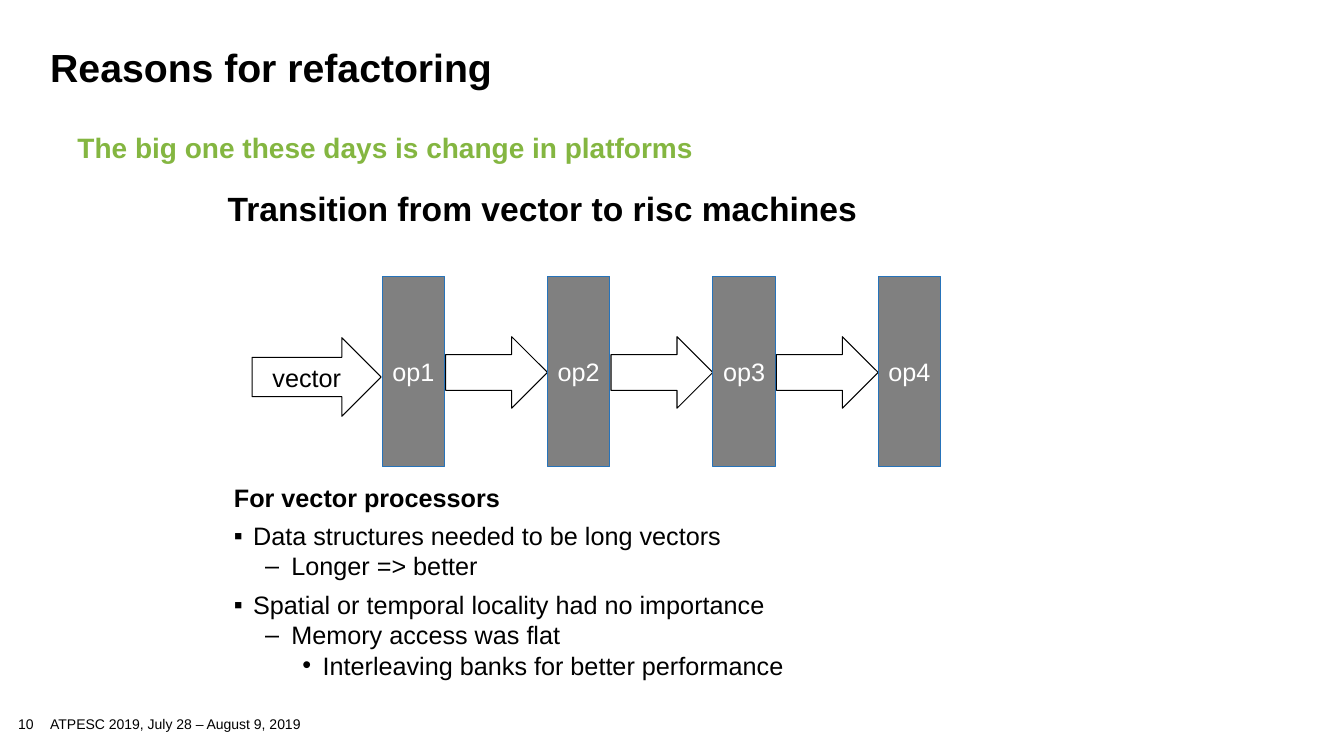
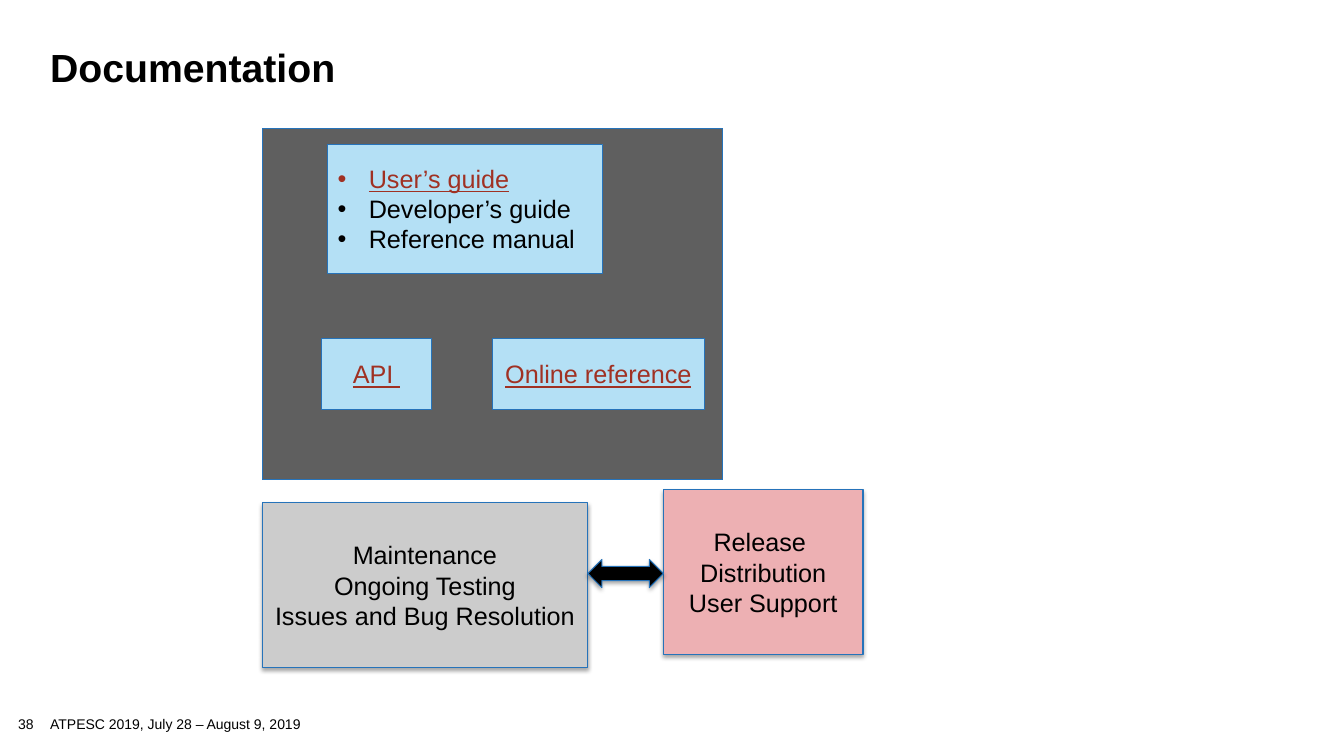
from dataclasses import dataclass

from lxml.etree import SubElement
from pptx import Presentation
from pptx.dml.color import RGBColor
from pptx.enum.shapes import MSO_SHAPE as Shape
from pptx.enum.text import MSO_ANCHOR as Anchor, PP_ALIGN as Align
from pptx.oxml.ns import qn
from pptx.util import Inches, Pt


@dataclass(frozen=True)
class Theme:
    font: str = "Arial"
    black: str = "000000"
    white: str = "FFFFFF"
    green: str = "84B641"
    blue: str = "2673BA"
    sky: str = "B4E0F5"
    rust: str = "A03123"
    pink: str = "EDB0B3"
    light_gray: str = "CCCCCC"
    mid_gray: str = "808080"
    dark_gray: str = "5F5F5F"
    title_size: int = 28
    heading_size: int = 24
    subtitle_size: int = 20
    body_size: int = 18
    footer_size: int = 10


@dataclass(frozen=True)
class Line:
    """One paragraph; an unset color falls back to that of its box."""
    text: str
    bullet: str = ""
    indent: float = 0
    hanging: float = 0
    level: int = 0
    before: float = 0
    color: str = ""
    bold: bool = False
    underline: bool = False


THEME = Theme()
FOOTER = "ATPESC 2019, July 28 – August 9, 2019"
INSETS = (0.1, 0.05, 0.1, 0.05)


class Deck:
    def __init__(self, theme):
        self.theme = theme
        self.deck = Presentation()
        self.deck.slide_width = Inches(13.33)
        self.deck.slide_height = Inches(7.5)
        self.page = None

    def add_page(self, title, number):
        theme = self.theme
        self.page = self.deck.slides.add_slide(self.deck.slide_layouts[6])
        self.text(0.18, 7.12, 0.56, 0.16, [Line(number)], theme.footer_size,
                  insets=(0, 0, 0, 0), spacing=0.9)
        self.text(0.4, 7.08, 3.63, 0.2, [Line(FOOTER)], theme.footer_size,
                  anchor=Anchor.MIDDLE)
        self.text(0.4, 0.45, 12.44, 0.56, [Line(title, bold=True)],
                  theme.title_size, spacing=0.85)

    def text(self, left, top, width, height, lines, size, insets=INSETS,
             anchor=Anchor.TOP, spacing=None):
        box = self.page.shapes.add_textbox(
            Inches(left), Inches(top), Inches(width), Inches(height))
        self.fill_frame(box.text_frame, lines, size, self.theme.black, insets,
                        anchor, Align.LEFT, spacing)

    def shape(self, kind, left, top, width, height, fill, line="", lines=(),
              color="", align=Align.CENTER, shadow=False):
        shape = self.page.shapes.add_shape(
            kind, Inches(left), Inches(top), Inches(width), Inches(height))
        shape.fill.solid()
        shape.fill.fore_color.rgb = RGBColor.from_string(fill)
        shape.line.color.rgb = RGBColor.from_string(line or self.theme.blue)
        shape.line.width = Pt(0.75)
        shape.shadow.inherit = False
        if shadow:
            self.cast_shadow(shape)
        if lines:
            self.fill_frame(shape.text_frame, lines, self.theme.body_size,
                            color or self.theme.black, INSETS, Anchor.MIDDLE,
                            align)

    def cast_shadow(self, shape):
        effects = shape.element.spPr.find(qn("a:effectLst"))
        outer = SubElement(effects, qn("a:outerShdw"), blurRad=str(Pt(3.1)),
                           dist=str(Pt(1.8)), dir="5400000", rotWithShape="0")
        tint = SubElement(outer, qn("a:srgbClr"), val=self.theme.black)
        SubElement(tint, qn("a:alpha"), val="35000")

    def fill_frame(self, frame, lines, size, color, insets, anchor, align,
                   spacing=None):
        frame.word_wrap = True
        frame.vertical_anchor = anchor
        (frame.margin_left, frame.margin_top,
         frame.margin_right, frame.margin_bottom) = map(Inches, insets)
        for index, line in enumerate(lines):
            para = frame.add_paragraph() if index else frame.paragraphs[0]
            para.text = line.text
            para.alignment = align
            para.level = line.level
            para.space_before = Pt(line.before)
            if spacing:
                para.line_spacing = spacing
            if line.bullet:
                self.add_bullet(para, line)
            font = para.font
            font.name = self.theme.font
            font.size = Pt(size)
            font.bold = line.bold
            font.underline = line.underline
            font.color.rgb = RGBColor.from_string(line.color or color)

    def add_bullet(self, para, line):
        properties = para._p.get_or_add_pPr()
        properties.set("marL", str(Inches(line.indent)))
        properties.set("indent", str(-Inches(line.hanging)))
        SubElement(properties, qn("a:buFont"), typeface=self.theme.font)
        SubElement(properties, qn("a:buChar"), char=line.bullet)


def point(text):
    return Line(text, "▪", 0.19, 0.19, before=6)


def subpoint(text):
    return Line(text, "–", 0.57, 0.26, level=1)


def add_refactoring(deck):
    theme = deck.theme
    deck.add_page("Reasons for refactoring", "10")
    deck.text(2.16, 1.86, 8.77, 0.73,
              [Line("Transition from vector to risc machines", bold=True)],
              theme.heading_size, spacing=0.9)
    deck.text(0.67, 1.28, 12.21, 0.55,
              [Line("The big one these days is change in platforms",
                    color=theme.green, bold=True)],
              theme.subtitle_size, insets=(0.1, 0.05, 0.1, 0), spacing=0.9)

    deck.shape(Shape.RIGHT_ARROW, 2.5, 3.35, 1.28, 0.78, theme.white,
               theme.black, [Line("vector")])
    first, pitch, count = 3.79, 1.64, 4
    for index in range(count):
        left = first + index * pitch
        deck.shape(Shape.RECTANGLE, left, 2.74, 0.62, 1.89, theme.mid_gray,
                   lines=[Line(f"op{index + 1}")], color=theme.white)
        if index < count - 1:
            deck.shape(Shape.RIGHT_ARROW, left + 0.63, 3.34, 1.01, 0.71,
                       theme.white, theme.black)

    deck.text(2.32, 4.78, 6.62, 2.55, [
        Line("For vector processors", before=6, bold=True),
        point("Data structures needed to be long vectors"),
        subpoint("Longer => better"),
        point("Spatial or temporal locality had no importance"),
        subpoint("Memory access was flat"),
        Line("Interleaving banks for better performance", "•", 0.88, 0.2,
             level=2),
    ], theme.body_size, insets=(0, 0, 0, 0.05))


def add_documentation(deck):
    theme = deck.theme
    deck.add_page("Documentation", "38")
    deck.shape(Shape.RECTANGLE, 2.6, 4.99, 3.23, 1.63, theme.light_gray,
               lines=[Line("Maintenance"), Line("Ongoing Testing"),
                      Line("Issues and Bug Resolution")], shadow=True)
    deck.shape(Shape.RECTANGLE, 6.58, 4.86, 1.98, 1.63, theme.pink,
               lines=[Line("Release "), Line("Distribution"),
                      Line("User Support")], shadow=True)
    deck.shape(Shape.LEFT_RIGHT_ARROW, 5.83, 5.55, 0.75, 0.28, theme.black,
               shadow=True)

    deck.shape(Shape.RECTANGLE, 2.6, 1.27, 4.57, 3.49, theme.dark_gray)
    bullet = {"bullet": "•", "indent": 0.31, "hanging": 0.31}
    linked = {"color": theme.rust, "underline": True}
    deck.shape(Shape.RECTANGLE, 3.25, 1.43, 2.73, 1.28, theme.sky,
               lines=[Line("User’s guide", **bullet, **linked),
                      Line("Developer’s guide", **bullet),
                      Line("Reference manual", **bullet)], align=Align.LEFT)
    for text, left, width in (("API ", 3.19, 1.09),
                              ("Online reference", 4.88, 2.11)):
        deck.shape(Shape.RECTANGLE, left, 3.36, width, 0.7, theme.sky,
                   lines=[Line(text, **linked)])


def main():
    deck = Deck(THEME)
    add_refactoring(deck)
    add_documentation(deck)
    deck.deck.save("out.pptx")


if __name__ == "__main__":
    main()
